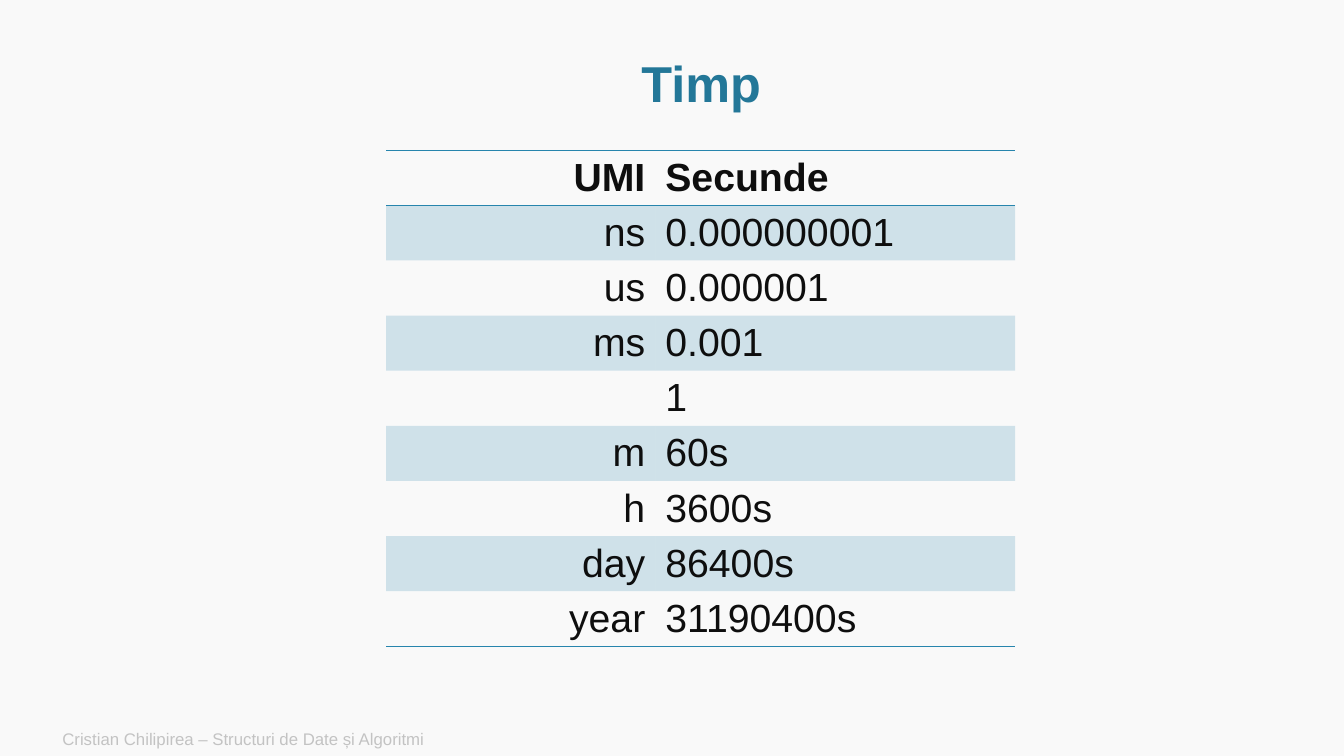
from lxml.etree import SubElement
from pptx import Presentation
from pptx.dml.color import RGBColor
from pptx.enum.text import MSO_ANCHOR, PP_ALIGN
from pptx.oxml.ns import qn
from pptx.util import Inches, Pt

BACKGROUND = RGBColor(0xF9, 0xF9, 0xF9)
TITLE_BLUE = RGBColor(0x23, 0x77, 0x98)
ACCENT = RGBColor(0x27, 0x85, 0xAD)
INK = RGBColor(0x0E, 0x0E, 0x0E)
FOOTER_GRAY = RGBColor(0xC3, 0xC3, 0xC3)
FONT = "Arial"

COLUMN_WIDTHS = (2.67, 3.57)
TIME_UNITS = [
    ("UMI", "Secunde"),
    ("ns", "0.000000001"),
    ("us", "0.000001"),
    ("ms", "0.001"),
    ("", "1"),
    ("m", "60s"),
    ("h", "3600s"),
    ("day", "86400s"),
    ("year", "31190400s"),
]


def style_font(font, size, color, bold=False):
    font.name = FONT
    font.size = Pt(size)
    font.bold = bold
    font.color.rgb = color


def add_text(slide, box, text, size, color, align=PP_ALIGN.LEFT, bold=False):
    shape = slide.shapes.add_textbox(*map(Inches, box))
    frame = shape.text_frame
    frame.word_wrap = True
    frame.vertical_anchor = MSO_ANCHOR.MIDDLE
    frame.text = text
    para = frame.paragraphs[0]
    para.alignment = align
    style_font(para.runs[0].font, size, color, bold)
    return para


def add_title(slide, box):
    para = add_text(slide, box, "Timp", 36, TITLE_BLUE, PP_ALIGN.CENTER, True)
    para.line_spacing = 0.9


def add_footer(slide, box):
    add_text(slide, box, "Cristian Chilipirea – Structuri de Date și Algoritmi",
             12, FOOTER_GRAY)


def set_borders(cell, ruled_sides):
    """Rule the named sides of a cell and clear the others."""
    properties = cell._tc.get_or_add_tcPr()
    for position, side in enumerate("LRTB"):
        line = properties.makeelement(qn(f"a:ln{side}"), w=str(Pt(1)))
        if side in ruled_sides:
            fill = SubElement(line, qn("a:solidFill"))
            SubElement(fill, qn("a:srgbClr"), val=str(ACCENT))
        else:
            SubElement(line, qn("a:noFill"))
        # Borders come before the fill
        properties.insert(position, line)


def set_band(cell, banded):
    if not banded:
        cell.fill.background()
        return
    cell.fill.solid()
    cell.fill.fore_color.rgb = ACCENT
    color = cell._tc.tcPr.find(qn("a:solidFill")).find(qn("a:srgbClr"))
    SubElement(color, qn("a:alpha"), val="20000")


def add_time_table(slide, box):
    last = len(TIME_UNITS) - 1
    table = slide.shapes.add_table(
        len(TIME_UNITS), len(COLUMN_WIDTHS), *map(Inches, box)).table
    table.first_row = True
    table.horz_banding = False
    for column, width in zip(table.columns, COLUMN_WIDTHS):
        column.width = Inches(width)

    for row, values in enumerate(TIME_UNITS):
        # Lines frame the header and close the table
        sides = {0: "TB", 1: "T", last: "B"}.get(row, "")
        for column, value in enumerate(values):
            cell = table.cell(row, column)
            cell.margin_top = cell.margin_bottom = Inches(0.04)
            cell.vertical_anchor = MSO_ANCHOR.MIDDLE
            cell.text = value
            para = cell.text_frame.paragraphs[0]
            para.alignment = PP_ALIGN.LEFT if column else PP_ALIGN.RIGHT
            for span in para.runs:
                style_font(span.font, 28, INK, bold=row == 0)
            set_band(cell, row % 2 == 1)
            set_borders(cell, sides)


def main():
    deck = Presentation()
    deck.slide_width = Inches(13.33)
    deck.slide_height = Inches(7.5)
    slide = deck.slides.add_slide(deck.slide_layouts[6])
    slide.background.fill.solid()
    slide.background.fill.fore_color.rgb = BACKGROUND

    add_footer(slide, (0.52, 7.16, 8.4, 0.34))
    add_title(slide, (1.14, 0.51, 11.63, 0.69))
    add_time_table(slide, (3.83, 1.49, sum(COLUMN_WIDTHS), 4.81))
    deck.save("out.pptx")


if __name__ == "__main__":
    main()
